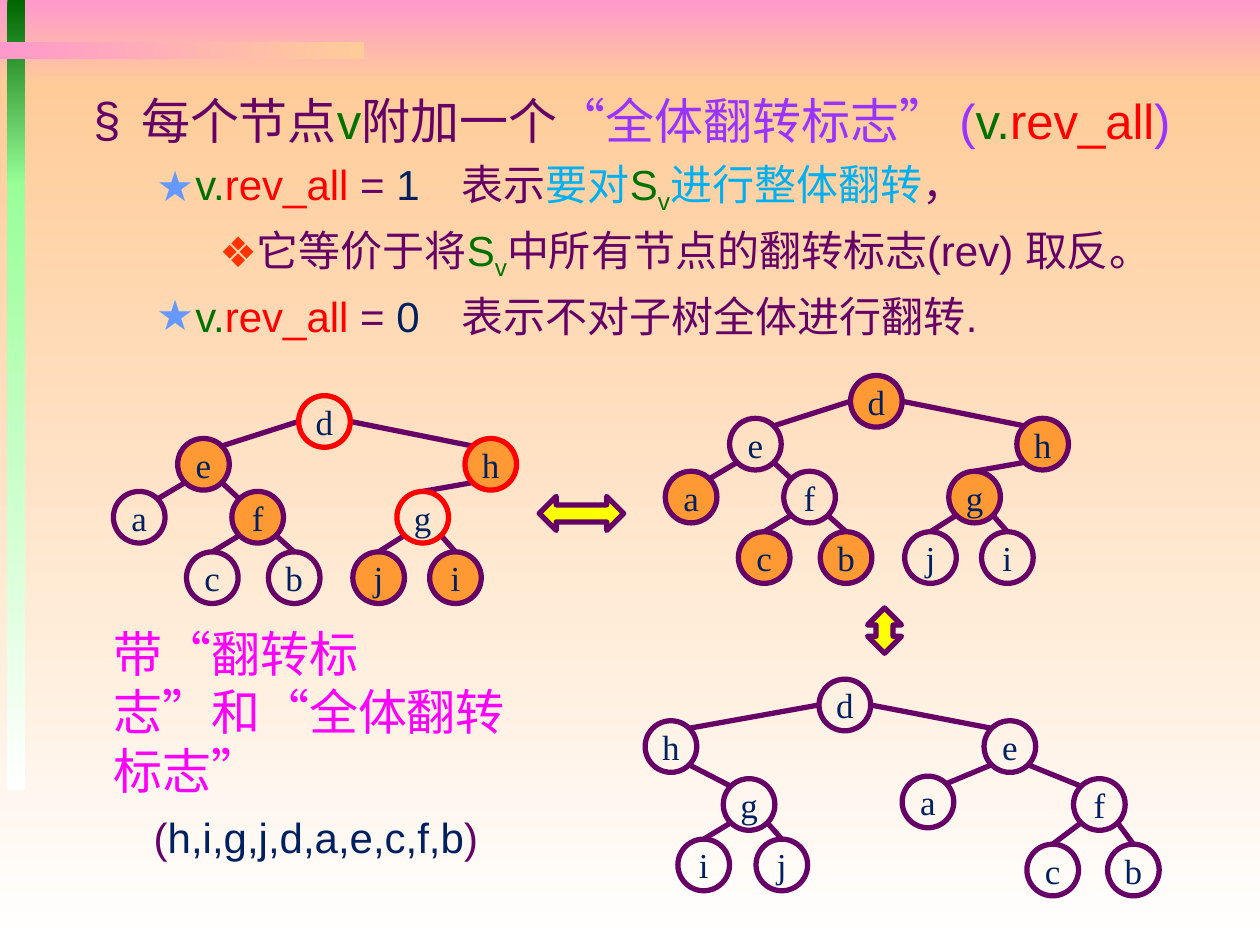
from lxml import etree
from pptx import Presentation
from pptx import util as u
from pptx.dml.color import RGBColor
from pptx.enum import shapes, text
from pptx.oxml.ns import qn

PLUM, GREEN, RED, NAVY = "660066", "007200", "FF0000", "002060"
VIOLET, SKY, MAGENTA = "9933FF", "00B0F0", "FF00FF"
ORANGE, YELLOW = "FF9933", "FFFF00"

# left, top, width, height, first colour, last colour, angle
BANDS = [
    (0, 0, 10, 0.67, "FF99CC", "FFCC99", 270),
    (0, 0.67, 10, 6.83, "FFCC99", "FFFFFF", 270),
    (0.06, 0, 0.14, 1.48, "006600", "99FF99", 270),
    (0.06, 1.46, 0.14, 4.81, "99FF99", "FFFFFF", 270),
    (0, 0.33, 2.89, 0.14, "FF99CC", "FFCC99", 0),
]

# bullet, bullet colour, left margin, hanging indent, size
LEVELS = [
    ("§", PLUM, 0.38, 0.38, 28),
    ("★", "6699FF", 0.81, 0.31, 24),
    ("❖", "FF3300", 1.25, 0.25, 24),
]
# level, then spans of text and colour; a third item marks a subscript
BODY = [
    (0, [("每个节点", PLUM), ("v", GREEN), ("附加一个", PLUM), ("“全体翻转标志” (", VIOLET),
         ("v.", GREEN), ("rev_all", RED), (")", VIOLET)]),
    (1, [("v.", GREEN), ("rev_all ", RED), ("= ", PLUM), ("1　", NAVY), ("表示", PLUM),
         ("要对", SKY), ("S", GREEN), ("v", GREEN, True), ("进行整体翻转", SKY), ("，", PLUM)]),
    (2, [("它等价于将", PLUM), ("S", GREEN), ("v", GREEN, True),
         ("中所有节点的翻转标志(rev) 取反。", PLUM)]),
    (1, [("v.", GREEN), ("rev_all", RED), (" = ", PLUM), ("0　", NAVY),
         ("表示不对子树全体进行翻转.", PLUM)]),
]
TITLE = [("带“翻转标志”和“全体翻转标志”", MAGENTA)]
SEQUENCE = [("(", PLUM), ("h,i,g,j,d,a,e,c,f,b", NAVY), (")", PLUM)]

NODE = 0.41
# Node places are relative to the root; an edge is parent, child, site on the child
FLAGGED = {
    "nodes": {"d": (0, 0), "e": (-0.96, 0.34), "h": (1.32, 0.34), "a": (-1.47, 0.76),
              "f": (-0.53, 0.76), "g": (0.78, 0.76), "c": (-0.89, 1.24),
              "b": (-0.24, 1.24), "j": (0.43, 1.24), "i": (1.04, 1.24)},
    "edges": ["de corner", "dh corner", "ea corner", "ef corner", "hg top",
              "fc top", "fb top", "gj top", "gi top"],
}
REVERSED = {
    "nodes": {"d": (0, 0), "h": (-1.38, 0.33), "e": (1.31, 0.33), "g": (-0.76, 0.79),
              "a": (0.66, 0.77), "f": (2.02, 0.79), "i": (-1.12, 1.27),
              "j": (-0.5, 1.27), "c": (1.65, 1.31), "b": (2.29, 1.31)},
    "edges": ["dh corner", "de corner", "hg corner", "ea corner", "ef corner",
              "gi top", "gj top", "fc top", "fb top"],
}
# tree, root left and top, filled nodes, red-ringed nodes
TREES = [
    (FLAGGED, 2.37, 3.14, "efhji", "dhg"),
    (FLAGGED, 6.75, 2.98, "dacbhg", ""),
    (REVERSED, 6.5, 5.39, "", ""),
]
ARROWS = [(4.28, 3.94, 0.67, 0.27, 0), (6.84, 4.87, 0.36, 0.27, 90)]


def color(value):
    return RGBColor.from_string(value)


def place(shape, *lengths):
    shape.left, shape.top, shape.width, shape.height = map(u.Inches, lengths)


def add_spans(para, spans, size, face):
    for words, shade, *subscript in spans:
        span = para.add_run()
        span.text = words
        span.font.size, span.font.name = u.Pt(size), face
        span.font.color.rgb = color(shade)
        if subscript:
            span.font._element.set("baseline", "-25000")


def add_bullet(para, char, shade, margin, hang):
    props = para._p.get_or_add_pPr()
    props.set("marL", str(u.Inches(margin)))
    props.set("indent", str(-u.Inches(hang)))
    paint = etree.SubElement(props, qn("a:buClr"))
    etree.SubElement(paint, qn("a:srgbClr")).set("val", shade)
    etree.SubElement(props, qn("a:buChar")).set("char", char)


def add_figure(parent, kind, lengths, fill=None, line=None):
    figure = parent.add_shape(kind, *map(u.Inches, lengths))
    figure.shadow.inherit = False
    if fill:
        figure.fill.solid()
        figure.fill.fore_color.rgb = color(fill)
    else:
        figure.fill.background()
    if line:
        figure.line.color.rgb = color(line)
        figure.line.width = u.Pt(3)
    else:
        figure.line.fill.background()
    return figure


def add_bands(page):
    for *lengths, first, last, angle in BANDS:
        band = add_figure(page.shapes, shapes.MSO_SHAPE.RECTANGLE, lengths)
        band.fill.gradient()
        band.fill.gradient_angle = angle
        for stop, shade, position in zip(band.fill.gradient_stops, (first, last), (0, 1)):
            stop.color.rgb = color(shade)
            stop.position = position


def rim(corner, across, down):
    """Point on a node's circle in the direction (across, down), each -1, 0 or 1."""
    reach = NODE / 2 / (across ** 2 + down ** 2) ** 0.5
    return [start + NODE / 2 + step * reach for start, step in zip(corner, (across, down))]


def add_tree(page, tree, left, top, filled, ringed):
    group = page.shapes.add_group_shape().shapes
    places = {name: (left + x, top + y) for name, (x, y) in tree["nodes"].items()}
    for edge in tree["edges"]:
        (parent, child), site = edge.split()
        side = 1 if places[child][0] > places[parent][0] else -1
        begin = rim(places[parent], side, 0 if parent == "d" else 1)
        end = rim(places[child], -side if site == "corner" else 0, -1)
        branch = group.add_connector(shapes.MSO_CONNECTOR.STRAIGHT, *map(u.Inches, begin + end))
        branch.line.color.rgb = color(PLUM)
        branch.line.width = u.Pt(3)
        etree.SubElement(branch._element.spPr, qn("a:effectLst"))
    for name, corner in places.items():
        node = add_figure(group, shapes.MSO_SHAPE.OVAL, (*corner, NODE, NODE),
                          ORANGE if name in filled else None, RED if name in ringed else PLUM)
        frame = node.text_frame
        frame.word_wrap = False
        frame.vertical_anchor = text.MSO_ANCHOR.MIDDLE
        para = frame.paragraphs[0]
        para.alignment = text.PP_ALIGN.CENTER
        add_spans(para, [(name, NAVY)], 20, "Times New Roman")


def add_body(page, body):
    page.shapes._spTree.append(body._element)  # in front of the bands
    place(body, 0.64, 0.67, 9.3, 2.04)
    frame = body.text_frame
    frame.auto_size = text.MSO_AUTO_SIZE.NONE
    for index, (level, spans) in enumerate(BODY):
        para = frame.add_paragraph() if index else frame.paragraphs[0]
        char, shade, margin, hang, size = LEVELS[level]
        para.level = level
        para.space_before = u.Pt(5 if index else 0)
        add_bullet(para, char, shade, margin, hang)
        add_spans(para, spans, size, "Arial")


def add_title(page, title):
    page.shapes._spTree.append(title._element)
    place(title, 0.8, 4.92, 3.55, 1.45)
    frame = title.text_frame
    frame.auto_size = text.MSO_AUTO_SIZE.NONE
    frame.vertical_anchor = text.MSO_ANCHOR.MIDDLE
    frame.paragraphs[0].alignment = text.PP_ALIGN.LEFT
    add_spans(frame.paragraphs[0], TITLE, 28, "Roboto")


def main():
    deck = Presentation()
    deck.slide_width, deck.slide_height = u.Inches(10), u.Inches(7.5)
    page = deck.slides.add_slide(deck.slide_layouts[1])
    title, body = page.placeholders
    add_bands(page)
    add_body(page, body)
    for tree in TREES:
        add_tree(page, *tree)
    for *lengths, turn in ARROWS:
        arrow = add_figure(page.shapes, shapes.MSO_SHAPE.LEFT_RIGHT_ARROW, lengths, YELLOW, PLUM)
        arrow.rotation = turn
    add_title(page, title)
    box = page.shapes.add_textbox(*map(u.Inches, (0.93, 6.39, 3.55, 0.5)))
    box.text_frame.word_wrap = True
    box.text_frame.margin_left = u.Inches(0.29)
    add_spans(box.text_frame.paragraphs[0], SEQUENCE, 24, "Arial")
    deck.save("out.pptx")


if __name__ == "__main__":
    main()
